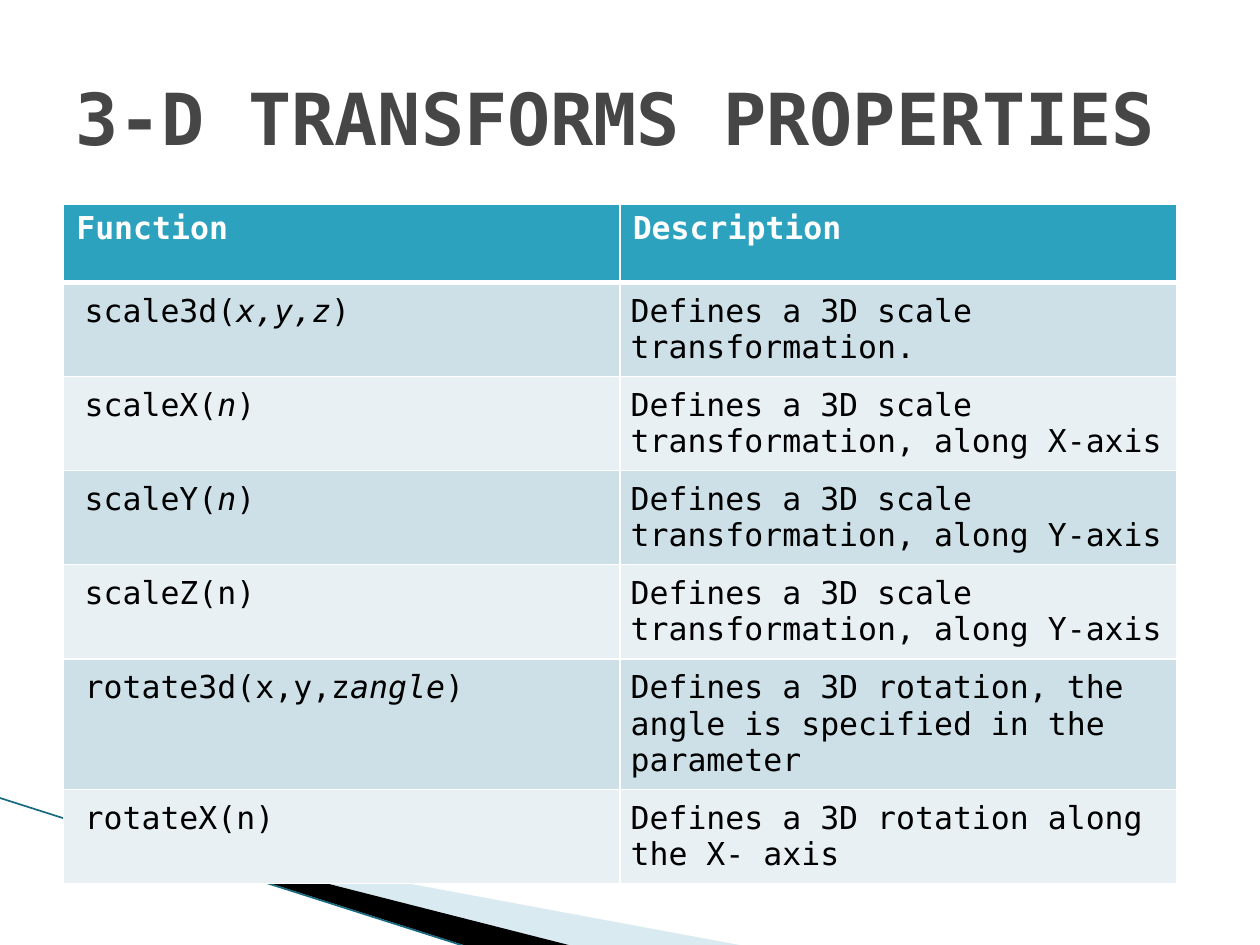
"""Build the 3-D transforms properties slide with its function table."""
from lxml import etree
from pptx import Presentation
from pptx.dml.color import RGBColor
from pptx.enum.shapes import MSO_CONNECTOR
from pptx.enum.text import MSO_ANCHOR, PP_ALIGN
from pptx.oxml.ns import qn
from pptx.util import Pt

STRAIGHT = MSO_CONNECTOR.STRAIGHT
MIDDLE = MSO_ANCHOR.MIDDLE
LEFT = PP_ALIGN.LEFT
FONT = "DejaVu Sans Mono"
WHITE = RGBColor(0xFF, 0xFF, 0xFF)
BLACK = RGBColor(0, 0, 0)
GREY = RGBColor(0x46, 0x46, 0x46)
TEAL = RGBColor(0x2D, 0xA2, 0xBF)
DARK_TEAL = RGBColor(0x16, 0x69, 0x7E)
PALE_BLUE = RGBColor(0xA0, 0xCB, 0xDC)
BAND_DARK = RGBColor(0xCD, 0xE0, 0xE8)
BAND_LIGHT = RGBColor(0xE8, 0xF0, 0xF4)

ROWS = [
    (("Function", "", ""), "Description", 44.6),
    (("scale3d(", "x,y,z", ")"), "Defines a 3D scale transformation.", 47.5),
    (("scaleX(", "n", ")"), "Defines a 3D scale transformation, along X-axis", 50.4),
    (("scaleY(", "n", ")"), "Defines a 3D scale transformation, along Y-axis", 50.4),
    (("scaleZ(n)", "", ""), "Defines a 3D scale transformation, along Y-axis", 50.4),
    (("rotate3d(x,y,z", "angle", ")"),
     "Defines a 3D rotation, the angle is specified in the parameter", 50.4),
    (("rotateX(n)", "", ""), "Defines a 3D rotation along the X- axis", 44.6),
]
WEDGES = [
    (PALE_BLUE, 40, [(39.6, 468.7), (428.4, 540.7), (328.3, 540.7), (39.6, 468)]),
    (BLACK, 100, [(38.2, 467.3), (329, 540.7), (267.8, 541.4), (38.9, 468)]),
]


def set_border(cell, side, width):
    ln = etree.SubElement(cell._tc.get_or_add_tcPr(), qn(f"a:ln{side}"), w=str(Pt(width)))
    fill = etree.SubElement(ln, qn("a:solidFill"))
    etree.SubElement(fill, qn("a:srgbClr"), val=str(WHITE))


def style_font(font, size, color, bold):
    font.name = FONT
    font.size = Pt(size)
    font.color.rgb = color
    font.bold = bold


prs = Presentation()
prs.slide_width, prs.slide_height = Pt(720), Pt(540)
s = prs.slides.add_slide(prs.slide_layouts[5])

for color, opacity, points in WEDGES:
    builder = s.shapes.build_freeform(*points[0], scale=Pt(1))
    builder.add_line_segments(points[1:], close=True)
    wedge = builder.convert_to_shape()
    wedge.shadow.inherit = False
    wedge.fill.solid()
    wedge.fill.fore_color.rgb = color
    wedge.line.fill.background()
    clr = wedge._element.spPr.find(f"{qn('a:solidFill')}/{qn('a:srgbClr')}")
    etree.SubElement(clr, qn("a:alpha"), val=str(opacity * 1000))

edge = s.shapes.add_connector(STRAIGHT, Pt(-0.7), Pt(455.8), Pt(267.8), Pt(541.4))
edge.line.color.rgb = DARK_TEAL
edge.line.width = Pt(0.95)
etree.SubElement(edge._element.spPr, qn("a:effectLst"))

height = sum(row[2] for row in ROWS)
table = s.shapes.add_table(len(ROWS), 2, Pt(36.4), Pt(116.8), Pt(636), Pt(height)).table
for i, (signature, description, row_height) in enumerate(ROWS):
    header = i == 0
    table.rows[i].height = Pt(row_height)
    for j, parts in enumerate((signature, (description,))):
        cell = table.cell(i, j)
        for side in "LRTB":
            thick = (i, side) in ((0, "B"), (1, "T"))
            set_border(cell, side, 3 if thick else 1)
        cell.fill.solid()
        cell.fill.fore_color.rgb = TEAL if header else BAND_DARK if i % 2 else BAND_LIGHT
        if not header:
            cell.margin_left = Pt(12 if j == 0 else 6)
            cell.margin_right = cell.margin_top = cell.margin_bottom = Pt(6)
        p = cell.text_frame.paragraphs[0]
        for k, part in enumerate(parts):
            if part:
                r = p.add_run()
                r.text = part
                style_font(r.font, 18, WHITE if header else BLACK, header)
                r.font.italic = k == 1

title = s.shapes.title
title.left, title.top, title.width, title.height = Pt(36), Pt(21.6), Pt(648), Pt(90)
tf = title.text_frame
tf.text = "3-D TRANSFORMS PROPERTIES"
tf.vertical_anchor = MIDDLE
p = tf.paragraphs[0]
p.alignment = LEFT
style_font(p.runs[0].font, 41, GREY, True)

prs.save("out.pptx")
